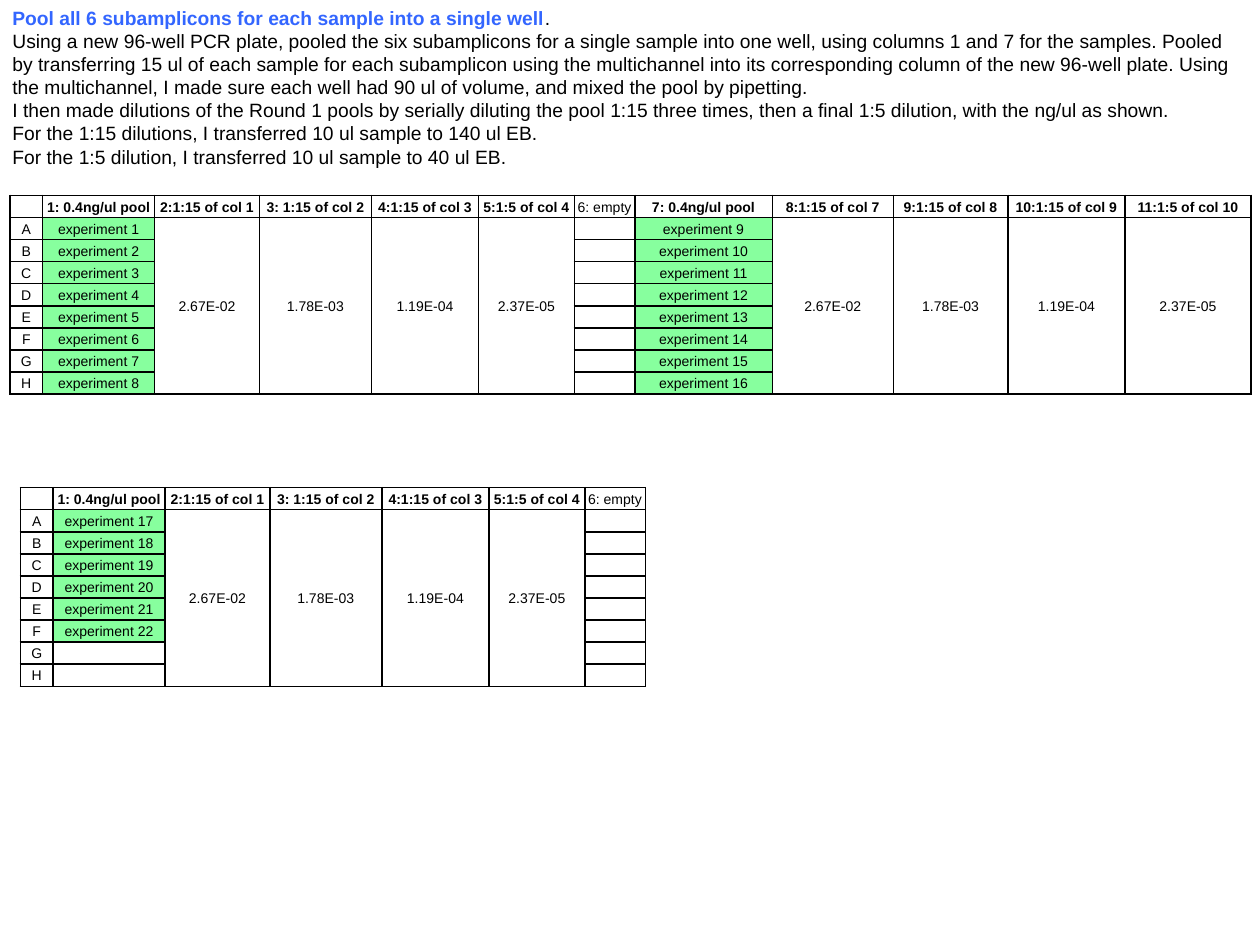
from lxml.etree import SubElement
from pptx import Presentation
from pptx.dml.color import RGBColor
from pptx.enum.text import MSO_ANCHOR, MSO_AUTO_SIZE, PP_ALIGN
from pptx.oxml.ns import qn
from pptx.util import Cm, Pt

# Content
COLORS = {"title": "3366FF", "text": "000000", "border": "000000", "sample": "87FF9E"}
FONT = "Arial"
TITLE = "Pool all 6 subamplicons for each sample into a single well"
NOTES = [
    "Using a new 96-well PCR plate, pooled the six subamplicons for a single sample into one well, "
    "using columns 1 and 7 for the samples. Pooled by transferring 15 ul of each sample for each "
    "subamplicon using the multichannel into its corresponding column of the new 96-well plate. "
    "Using the multichannel, I made sure each well had 90 ul of volume, and mixed the pool by pipetting.",
    "I then made dilutions of the Round 1 pools by serially diluting the pool 1:15 three times, "
    "then a final 1:5 dilution, with the ng/ul as shown.",
    "For the 1:15 dilutions, I transferred 10 ul sample to 140 ul EB.",
    "For the 1:5 dilution, I transferred 10 ul sample to 40 ul EB.",
]
WELLS = "ABCDEFGH"
DILUTIONS = ["2.67E-02", "1.78E-03", "1.19E-04", "2.37E-05"]
# Plate columns: heading, width in cm
COLUMNS = [
    ("", 0.66), ("1: 0.4ng/ul pool", 2.26), ("2:1:15 of col 1", 2.11),
    ("3: 1:15 of col 2", 2.26), ("4:1:15 of col 3", 2.16), ("5:1:5 of col 4", 1.93),
    ("6: empty", 1.22), ("7: 0.4ng/ul pool", 2.77), ("8:1:15 of col 7", 2.44),
    ("9:1:15 of col 8", 2.31), ("10:1:15 of col 9", 2.36), ("11:1:5 of col 10", 2.54),
]
# Pools: plate column -> experiment numbers
PLATES = [
    {"left": 0.2, "top": 3.94, "columns": COLUMNS, "pools": {1: range(1, 9), 7: range(9, 17)}},
    {"left": 0.41, "top": 9.83, "columns": COLUMNS[:7], "pools": {1: range(17, 23)}},
]
PLATE_HEIGHT = 4.01
CELL_FORMAT = {"margin_left": Cm(0.03), "margin_right": Cm(0.03), "margin_top": Cm(0.03),
               "margin_bottom": 0, "vertical_anchor": MSO_ANCHOR.MIDDLE}


def add_run(p, text, size, color="text", bold=False):
    r = p.add_run()
    r.text = text
    for name, value in {"name": FONT, "size": Pt(size), "bold": bold}.items():
        setattr(r.font, name, value)
    r.font.color.rgb = RGBColor.from_string(COLORS[color])


def format_cell(cell):
    for name, value in CELL_FORMAT.items():
        setattr(cell, name, value)
    tcPr = cell._tc.get_or_add_tcPr()
    for side in ("a:lnL", "a:lnR", "a:lnT", "a:lnB"):
        ln = SubElement(tcPr, qn(side), w=str(Pt(1)))
        SubElement(SubElement(ln, qn("a:solidFill")), qn("a:srgbClr"), val=COLORS["border"])
    cell.fill.background()
    # Small end mark keeps empty wells from stretching their row
    SubElement(cell.text_frame.paragraphs[0]._p, qn("a:endParaRPr"), sz="800")


def write_cell(cell, text, bold=False):
    p = cell.text_frame.paragraphs[0]
    p.alignment = PP_ALIGN.CENTER
    add_run(p, text, 8, bold=bold)


def add_plate(s, left, top, columns, pools):
    width = sum(w for _, w in columns)
    table = s.shapes.add_table(len(WELLS) + 1, len(columns), Cm(left), Cm(top),
                               Cm(width), Cm(PLATE_HEIGHT)).table
    table.first_row = table.horz_banding = False
    for row in table.rows:
        row.height = Cm(PLATE_HEIGHT) // (len(WELLS) + 1)
    for cell in table.iter_cells():
        format_cell(cell)

    # Headings and well letters
    for c, (heading, w) in enumerate(columns):
        table.columns[c].width = Cm(w)
        if heading:
            write_cell(table.cell(0, c), heading, bold="empty" not in heading)
    for r, letter in enumerate(WELLS, 1):
        write_cell(table.cell(r, 0), letter)

    # Each pool is followed by its four dilutions
    for pool, experiments in pools.items():
        for r, number in enumerate(experiments, 1):
            cell = table.cell(r, pool)
            write_cell(cell, f"experiment {number}")
            cell.fill.solid()
            cell.fill.fore_color.rgb = RGBColor.from_string(COLORS["sample"])
        for c, value in enumerate(DILUTIONS, pool + 1):
            table.cell(1, c).merge(table.cell(len(WELLS), c))
            write_cell(table.cell(1, c), value)


prs = Presentation()
prs.slide_width, prs.slide_height = Cm(25.4), Cm(19.05)
s = prs.slides.add_slide(prs.slide_layouts[6])

# Protocol text
tf = s.shapes.add_textbox(0, 0, Cm(25.4), Cm(3.56)).text_frame
tf.word_wrap = True
tf.auto_size = MSO_AUTO_SIZE.SHAPE_TO_FIT_TEXT
p = tf.paragraphs[0]
add_run(p, TITLE, 11, "title", bold=True)
add_run(p, ".", 11)
for note in NOTES:
    add_run(tf.add_paragraph(), note, 11)

# Plate layouts
for plate in PLATES:
    add_plate(s, **plate)

prs.save("out.pptx")
